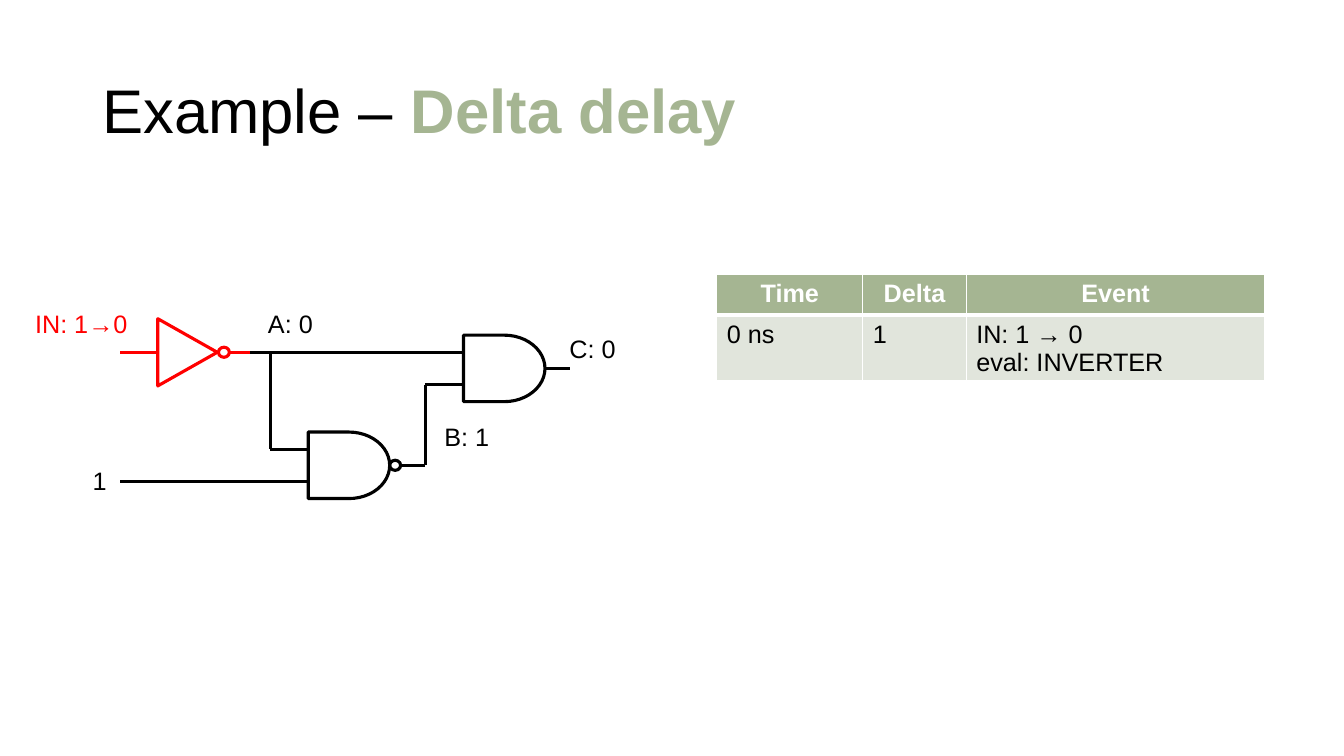
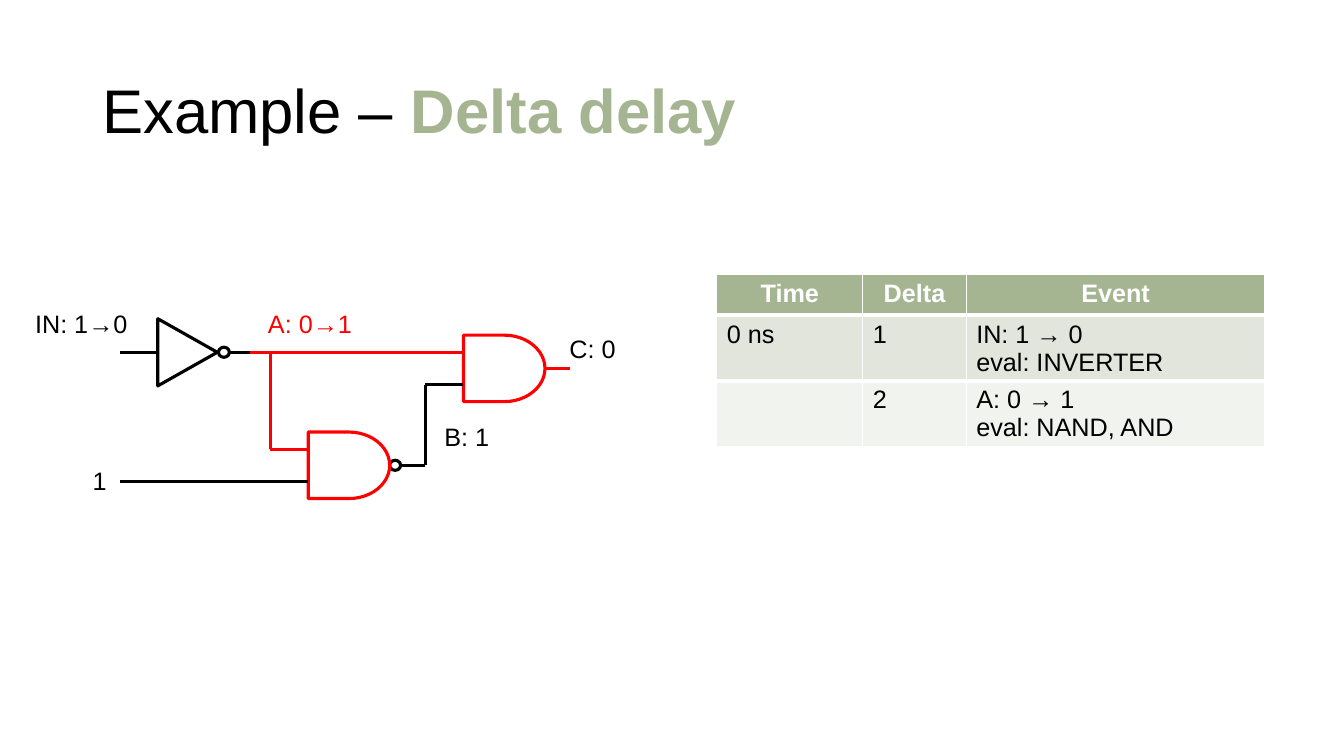
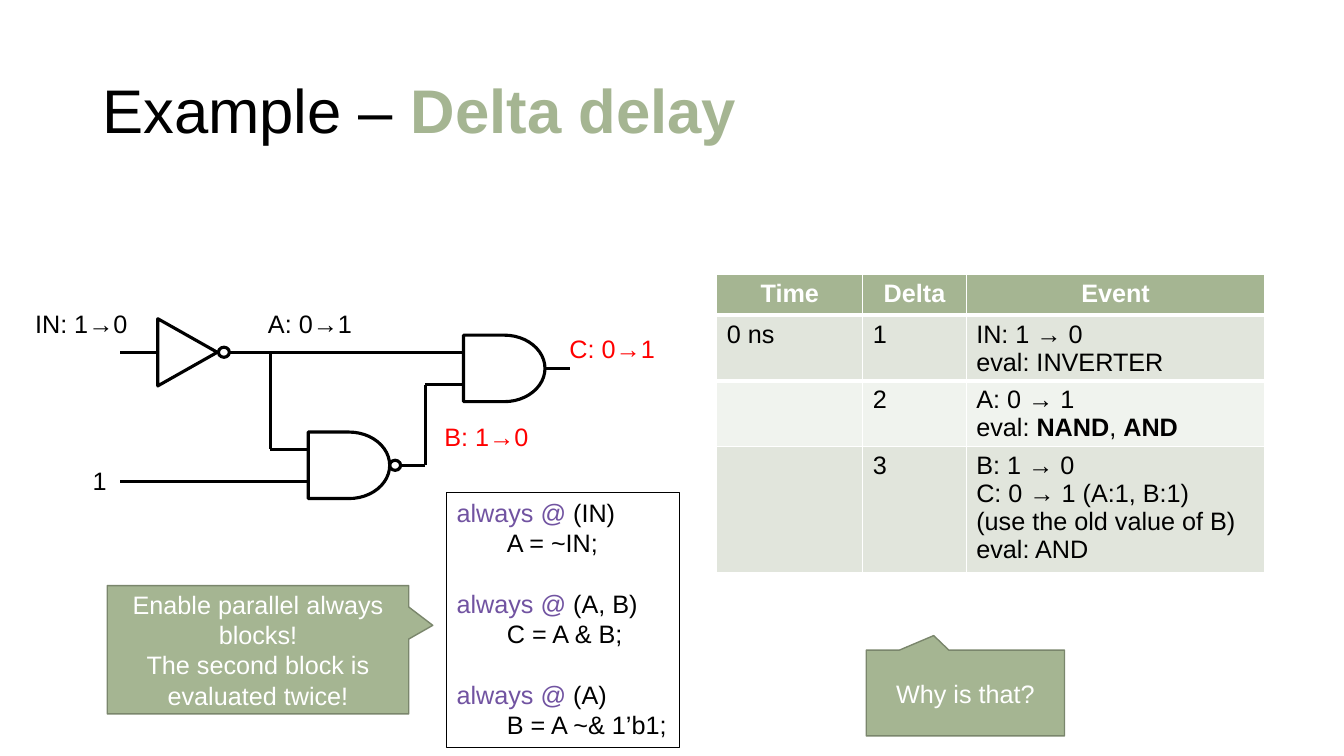
"""Build three slides that trace delta delay through a small gate circuit."""
from itertools import pairwise
from lxml.etree import SubElement
from pptx import Presentation
from pptx.dml.color import RGBColor
from pptx.enum.shapes import MSO_CONNECTOR, MSO_SHAPE
from pptx.enum.text import MSO_ANCHOR, PP_ALIGN
from pptx.oxml import parse_xml
from pptx.oxml.ns import nsdecls, qn
from pptx.util import Inches, Pt

BLACK, WHITE, RED = "000000", "FFFFFF", "FF0000"
SAGE, EDGE, PLUM = "A5B592", "7A866C", "7153A1"
BANDS = ["E1E5DC", "F0F3EE"]

deck = Presentation()
deck.slide_width, deck.slide_height = Inches(13.33), Inches(7.5)
UNIT = deck.slide_height / 45


def paint(part, tone):
    part.rgb = RGBColor.from_string(tone)


def write(frame, text, tones, size=18, bold=(False, False), align=PP_ALIGN.LEFT):
    frame.text = text
    for par in frame.paragraphs:
        first, *rest = par.text.split("|")
        par.text = first
        par.alignment = align
        for part in rest:
            par.add_run().text = part
        for i, run in enumerate(par.runs):
            style = i % 2 if rest else 0
            run.font.name, run.font.size = "Arial", Pt(size)
            run.font.bold = bold[style]
            paint(run.font.color, tones[style])


TITLE = (5.5, 2.4, 69, 8.7)
LEFT, TURN, JOIN, END = 7.17, 16.08, 25.32, 33.9
TOP, PIN, LEAD = 20.97, 0.96, 2.26
GATE_W, GATE_H = 4.85, 3.96
DOT_W, DOT_H = 0.65, 0.6
NOT_X, NOT_W, NOT_H = 9.16, 4, 3.54
NOT_OUT, SPLIT = 13.65, 14.9
AND_X, AND_Y = JOIN + LEAD, TOP + PIN
NAND_X, NAND_Y = TURN + LEAD, 27.7
NAND_OUT = NAND_X + GATE_W + DOT_W
NAND_TOP, NAND_LOW = NAND_Y - PIN, NAND_Y + PIN
AND_LOW = AND_Y + PIN

GATES = [
    (MSO_SHAPE.OVAL, NOT_OUT - DOT_W, TOP, DOT_W, DOT_H, 0, "in"),
    (MSO_SHAPE.ISOSCELES_TRIANGLE, NOT_X, TOP, NOT_W, NOT_H, 90, "in"),
    (MSO_SHAPE.OVAL, NAND_OUT - DOT_W, NAND_Y, DOT_W, DOT_H, 0, "b"),
    (MSO_SHAPE.FLOWCHART_DELAY, NAND_X, NAND_Y, GATE_W, GATE_H, 0, "a"),
    (MSO_SHAPE.FLOWCHART_DELAY, AND_X, AND_Y, GATE_W, GATE_H, 0, "a"),
]
ROUTES = [
    ("in", [(LEFT, TOP), (NOT_X + 0.24, TOP)]),
    ("in", [(NOT_OUT, TOP), (SPLIT, TOP)]),
    ("a", [(SPLIT, TOP), (AND_X, TOP)]),
    ("a", [(TURN, TOP), (TURN, NAND_TOP), (NAND_X, NAND_TOP)]),
    ("one", [(LEFT, NAND_LOW), (NAND_X, NAND_LOW)]),
    ("b", [(NAND_OUT, NAND_Y), (JOIN, NAND_Y), (JOIN, AND_LOW), (AND_X, AND_LOW)]),
    ("a", [(AND_X + GATE_W, AND_Y), (END, AND_Y)]),
]
LABEL_W, LABEL_H = 7.2, 2.4
LABELS = [
    (1.5, 18.07, "in", "IN: 1", "IN: 1→0"),
    (15.36, 18.07, "a", "A: 0", "A: 0→1"),
    (25.86, 24.8, "b", "B: 1", "B: 1→0"),
    (33.3, 19.55, "b", "C: 0", "C: 0→1"),
    (4.92, 27.42, "one", "1", "1"),
]
GRID_X, GRID_Y, ROW_H = 42.65, 16.34, 2.43
WIDTHS = (8.7, 6.15, 17.78)
EVENTS = [
    ("Time", "Delta", "Event"),
    ("0 ns", "1", "IN: 1 → 0\neval: INVERTER"),
    ("", "2", "A: 0 → 1\neval: |NAND|, |AND"),
    ("", "3", "B: 1 → 0\nC: 0 → 1 (A:1, B:1)\v(use the old value of B)\neval: AND"),
]
RULE = ('<a:{} {} w="38100"><a:solidFill><a:srgbClr val="FFFFFF"/>'
        '</a:solidFill></a:{}>')
STEPS = ["in", "a", "b"]

for step, net in enumerate(STEPS):
    slide = deck.slides.add_slide(deck.slide_layouts[6])
    shapes = slide.shapes
    last = net == STEPS[-1]
    done = STEPS[:step + 1]
    tones = dict.fromkeys(["one", *STEPS], BLACK)
    tones[net] = RED
    inks = dict.fromkeys(tones, BLACK) if last else tones

    frame = shapes.add_textbox(*[int(v * UNIT) for v in TITLE]).text_frame
    frame.word_wrap, frame.vertical_anchor = True, MSO_ANCHOR.MIDDLE
    write(frame, "Example – |Delta delay", (BLACK, SAGE), 44, (False, True))
    frame.paragraphs[0].line_spacing = 0.9

    for kind, x, mid, w, h, turn, owner in GATES:
        box = (x, mid - h / 2, w, h)
        gate = shapes.add_shape(kind, *[int(v * UNIT) for v in box])
        gate.rotation = turn
        gate.shadow.inherit = False
        gate.fill.background()
        gate.line.width = Pt(2.25)
        paint(gate.line.color, inks[owner])

    for owner, points in ROUTES:
        for start, stop in pairwise(points):
            ends = [int(v * UNIT) for v in start + stop]
            wire = shapes.add_connector(MSO_CONNECTOR.STRAIGHT, *ends)
            wire.line.width = Pt(2.25)
            paint(wire.line.color, inks[owner])
            SubElement(wire._element.spPr, qn("a:effectLst"))
    wire.begin_connect(gate, 3)

    for x, y, owner, old, new in LABELS:
        box = (x, y, LABEL_W, LABEL_H)
        frame = shapes.add_textbox(*[int(v * UNIT) for v in box]).text_frame
        frame.word_wrap = True
        write(frame, new if owner in done else old, (tones[owner], BLACK))

    rows = EVENTS[:step + 2]
    box = (GRID_X, GRID_Y, sum(WIDTHS), ROW_H * len(rows))
    grid = shapes.add_table(len(rows), len(WIDTHS), *[int(v * UNIT) for v in box]).table
    for col, width in zip(grid.columns, WIDTHS):
        col.width = int(width * UNIT)
    for r, row in enumerate(rows):
        for c, text in enumerate(row):
            cell = grid.cell(r, c)
            cell.margin_bottom = 0
            cell.fill.solid()
            if r == 0:
                paint(cell.fill.fore_color, SAGE)
                write(cell.text_frame, text, (WHITE, WHITE), bold=(True, True),
                      align=PP_ALIGN.CENTER)
            else:
                paint(cell.fill.fore_color, BANDS[(r - 1) % 2])
                shown = text if last else text.replace("|", "")
                write(cell.text_frame, shown, (BLACK, BLACK), bold=(False, True))
            if r < 2:
                side = ("lnB", "lnT")[r]
                line = parse_xml(RULE.format(side, nsdecls("a"), side))
                cell._tc.get_or_add_tcPr().insert(0, line)

CODE = (26.58, 29.32, 13.88, 15.15)
BLOCKS = [("IN", "A = ~IN;"), ("A, B", "C = A & B;"), ("A", "B = A ~& 1’b1;")]
code = shapes.add_shape(MSO_SHAPE.RECTANGLE, *[int(v * UNIT) for v in CODE])
code.shadow.inherit = False
code.fill.background()
code.line.width = Pt(0.75)
paint(code.line.color, BLACK)
frame = code.text_frame
frame.word_wrap, frame.vertical_anchor = False, MSO_ANCHOR.TOP
write(frame, "\n".join(f"always @| ({when})\n{body}" for when, body in BLOCKS),
      (PLUM, BLACK))
for head in frame.paragraphs[2::2]:
    head.space_before = Pt(21.8)
for body in frame.paragraphs[1::2]:
    body._p.get_or_add_pPr().set("marL", str(int(3 * UNIT)))
    paint(body.runs[0].font.color, BLACK)

NOTES = [
    ((51.55, 38.7, 11.8, 5.1), (-0.16, -0.67), "Why is that?"),
    ((6.38, 34.86, 17.94, 7.64), (0.58, -0.19),
     "Enable parallel always blocks!\nThe second block is evaluated twice!"),
]
for box, tip, text in NOTES:
    note = shapes.add_shape(MSO_SHAPE.RECTANGULAR_CALLOUT, *[int(v * UNIT) for v in box])
    note.adjustments[0], note.adjustments[1] = tip
    note.shadow.inherit = False
    note.fill.solid()
    paint(note.fill.fore_color, SAGE)
    note.line.width = Pt(1)
    paint(note.line.color, EDGE)
    frame = note.text_frame
    frame.word_wrap, frame.vertical_anchor = True, MSO_ANCHOR.MIDDLE
    write(frame, text, (WHITE, WHITE), align=PP_ALIGN.CENTER)

deck.save("out.pptx")
